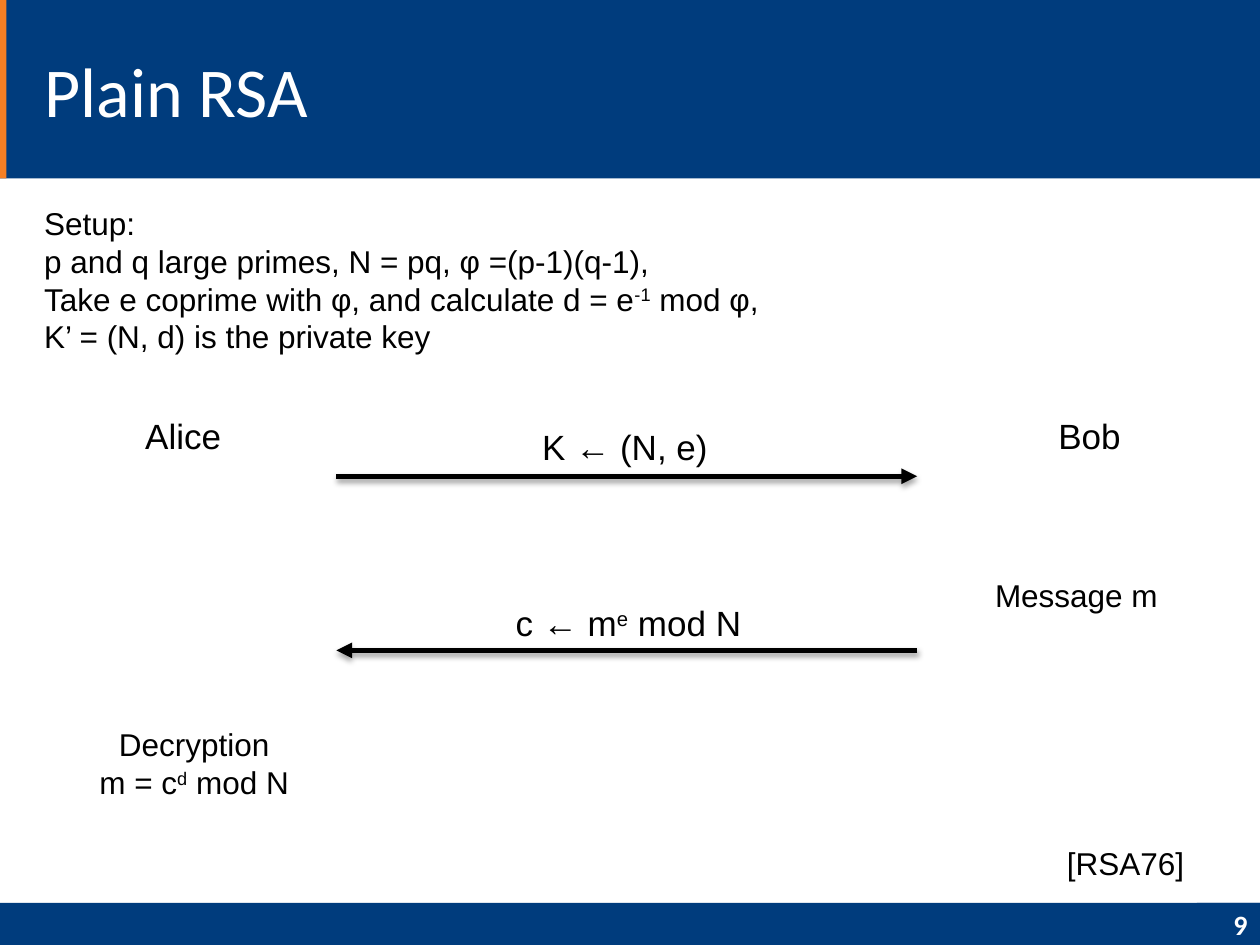
from lxml.etree import SubElement
from pptx import Presentation
from pptx.dml.color import RGBColor
from pptx.enum.shapes import MSO_CONNECTOR, MSO_SHAPE
from pptx.enum.text import MSO_ANCHOR, PP_ALIGN
from pptx.oxml.ns import qn
from pptx.util import Cm, Pt

THEME = {
    "navy": RGBColor(0x00, 0x3C, 0x7D),
    "orange": RGBColor(0xF4, 0x7F, 0x24),
    "white": RGBColor(0xFF, 0xFF, 0xFF),
    "black": RGBColor(0, 0, 0),
    "heading_font": "Calibri",
    "body_font": "Arial",
    "title": 40, "label": 20, "body": 18, "number": 16,
}
WIDTH, HEIGHT = 25.4, 19.05
HEADER_H, FOOTER_H, ACCENT_W, NUMBER_W = 3.6, 0.85, 0.13, 1.27
LEFT, CENTER, RIGHT = PP_ALIGN.LEFT, PP_ALIGN.CENTER, PP_ALIGN.RIGHT

TITLE = "Plain RSA"
PAGE = "9"
# Text between carets is superscript.
# (lines, left, top, width, height, size, alignment), lengths in cm
TEXTS = [
    (["Setup:",
      "p and q large primes, N = pq, φ =(p-1)(q-1),",
      "Take e coprime with φ, and calculate d = e^-1^ mod φ,",
      "K’ = (N, d) is the private key"], 0.64, 3.99, 15.24, 3.33, "body", LEFT),
    (["Alice"], 1.47, 8.23, 4.45, 1.11, "label", CENTER),
    (["Bob"], 19.74, 8.23, 4.45, 1.11, "label", CENTER),
    (["K ← (N, e)"], 8.79, 8.46, 7.62, 1.11, "label", CENTER),
    (["c ← m^e^ mod N"], 8.86, 12.01, 7.62, 1.11, "label", CENTER),
    (["Message m"], 19.25, 11.48, 4.9, 1.02, "body", CENTER),
    (["Decryption", "m = c^d^ mod N"], 0.64, 14.5, 6.55, 1.8, "body", CENTER),
    (["[RSA76]"], 21.26, 16.89, 4.01, 1.02, "body", LEFT),
]
ALICE_X, BOB_X = 6.78, 18.49
ARROWS = [(ALICE_X, BOB_X, 9.6), (BOB_X, ALICE_X, 13.11)]  # from x, to x, y


def style(p, font, size, color, align=LEFT, bold=False):
    p.alignment = align
    p.font.name, p.font.size, p.font.bold = font, Pt(THEME[size]), bold
    p.font.color.rgb = THEME[color]


def add_bar(slide, x, y, w, h, color):
    s = slide.shapes.add_shape(MSO_SHAPE.RECTANGLE, Cm(x), Cm(y), Cm(w), Cm(h))
    s.shadow.inherit = False
    s.fill.solid()
    s.fill.fore_color.rgb = THEME[color]
    s.line.fill.background()
    return s


def add_text(slide, lines, x, y, w, h, size, align):
    tf = slide.shapes.add_textbox(Cm(x), Cm(y), Cm(w), Cm(h)).text_frame
    tf.word_wrap = True
    for i, line in enumerate(lines):
        p = tf.add_paragraph() if i else tf.paragraphs[0]
        style(p, THEME["body_font"], size, "black", align)
        for j, part in enumerate(line.split("^")):
            r = p.add_run()
            r.text = part
            if j % 2:
                r.font._element.set("baseline", "30000")


def add_arrow(slide, x1, x2, y):
    """Draw a horizontal arrow with a soft shadow below it."""
    c = slide.shapes.add_connector(MSO_CONNECTOR.STRAIGHT, Cm(x1), Cm(y), Cm(x2), Cm(y))
    c.line.color.rgb = THEME["black"]
    c.line.width = Pt(3)
    SubElement(c.line._get_or_add_ln(), qn("a:tailEnd"), type="triangle")
    effects = SubElement(c._element.spPr, qn("a:effectLst"))
    shadow = SubElement(effects, qn("a:outerShdw"), blurRad=str(Pt(3.1)),
                        dist=str(Pt(1.8)), dir="5400000", rotWithShape="0")
    color = SubElement(shadow, qn("a:srgbClr"), val=str(THEME["black"]))
    SubElement(color, qn("a:alpha"), val="35000")


def add_frame(slide):
    """Draw the header and footer with the title and page number."""
    footer_y = HEIGHT - FOOTER_H
    add_bar(slide, 0, footer_y, WIDTH, FOOTER_H, "navy")
    add_bar(slide, 0, 0, WIDTH, HEADER_H, "navy")
    add_bar(slide, 0, 0, ACCENT_W, HEADER_H, "orange")

    title = slide.shapes.title
    title.left, title.top, title.width, title.height = Cm(0.64), Cm(0.43), Cm(18.62), Cm(2.74)
    title.text_frame.text = TITLE
    title.text_frame.vertical_anchor = MSO_ANCHOR.MIDDLE
    style(title.text_frame.paragraphs[0], THEME["heading_font"], "title", "white")
    slide.shapes._spTree.append(title._element)  # in front of the header

    number = add_bar(slide, WIDTH - NUMBER_W, footer_y, NUMBER_W, FOOTER_H, "navy")
    number.text_frame.text = PAGE
    number.text_frame.vertical_anchor = MSO_ANCHOR.MIDDLE
    style(number.text_frame.paragraphs[0], THEME["heading_font"], "number", "white", RIGHT, True)


def main():
    prs = Presentation()
    prs.slide_width, prs.slide_height = Cm(WIDTH), Cm(HEIGHT)
    slide = prs.slides.add_slide(prs.slide_layouts[5])
    add_frame(slide)
    for arrow in ARROWS:
        add_arrow(slide, *arrow)
    for text in TEXTS:
        add_text(slide, *text)
    prs.save("out.pptx")


if __name__ == "__main__":
    main()
